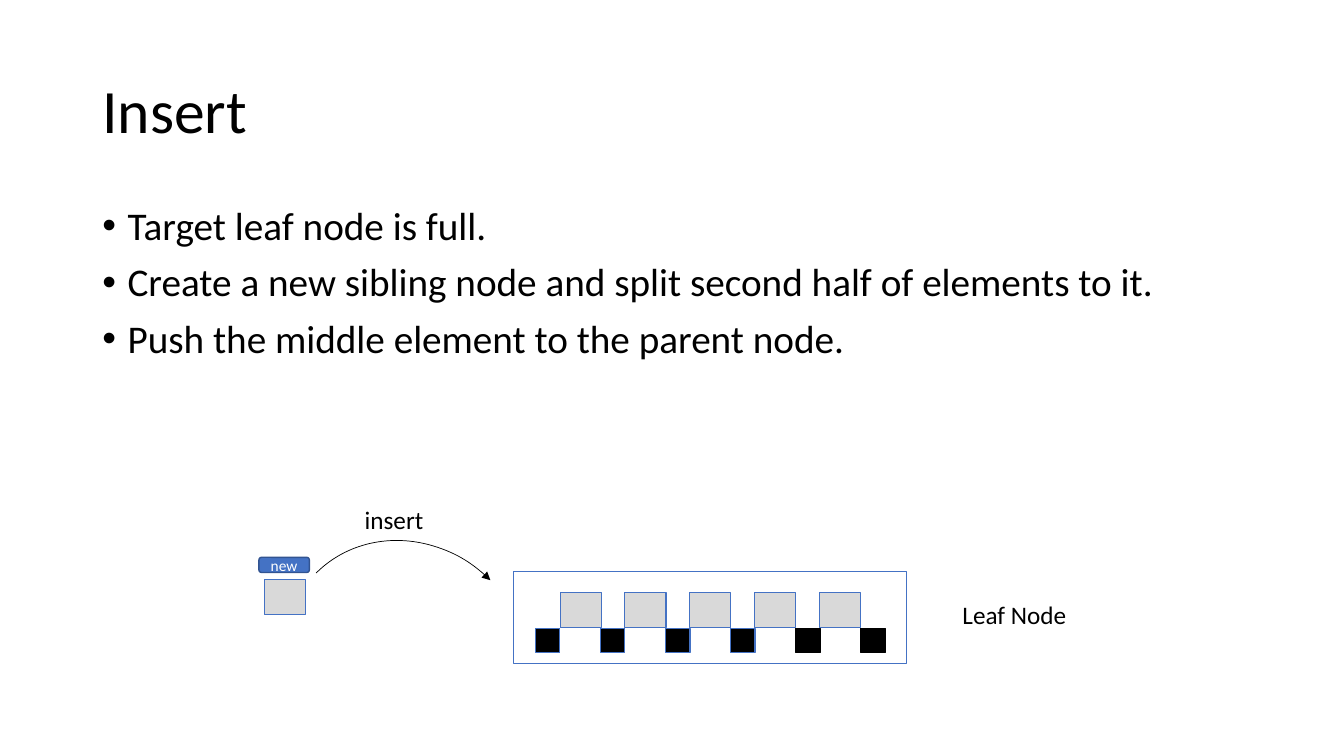
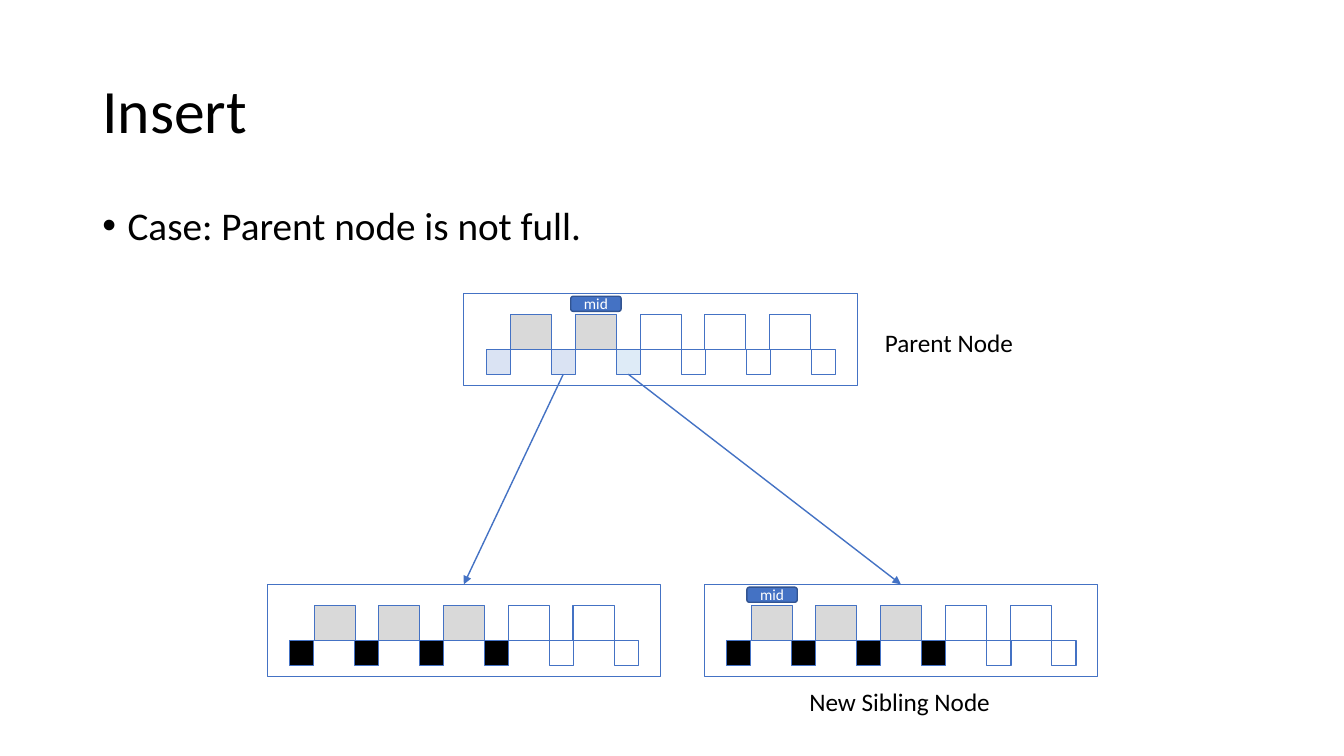
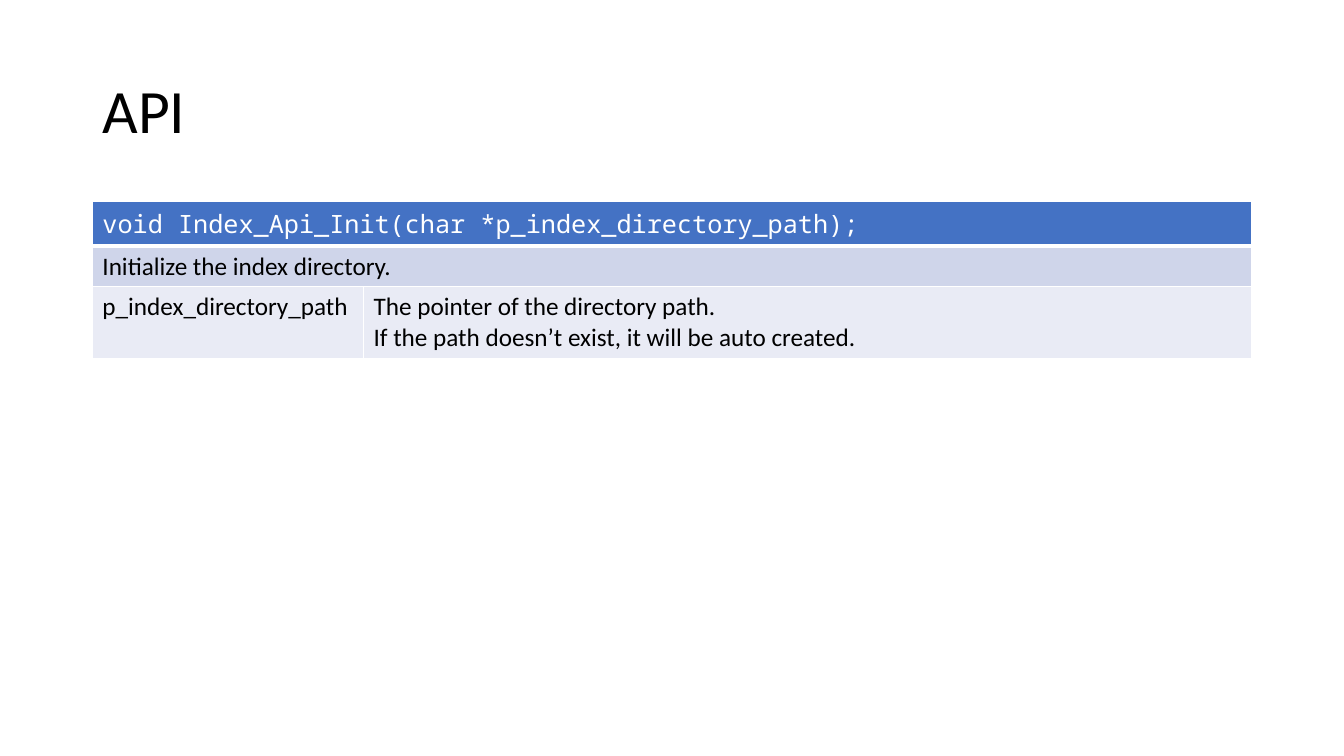
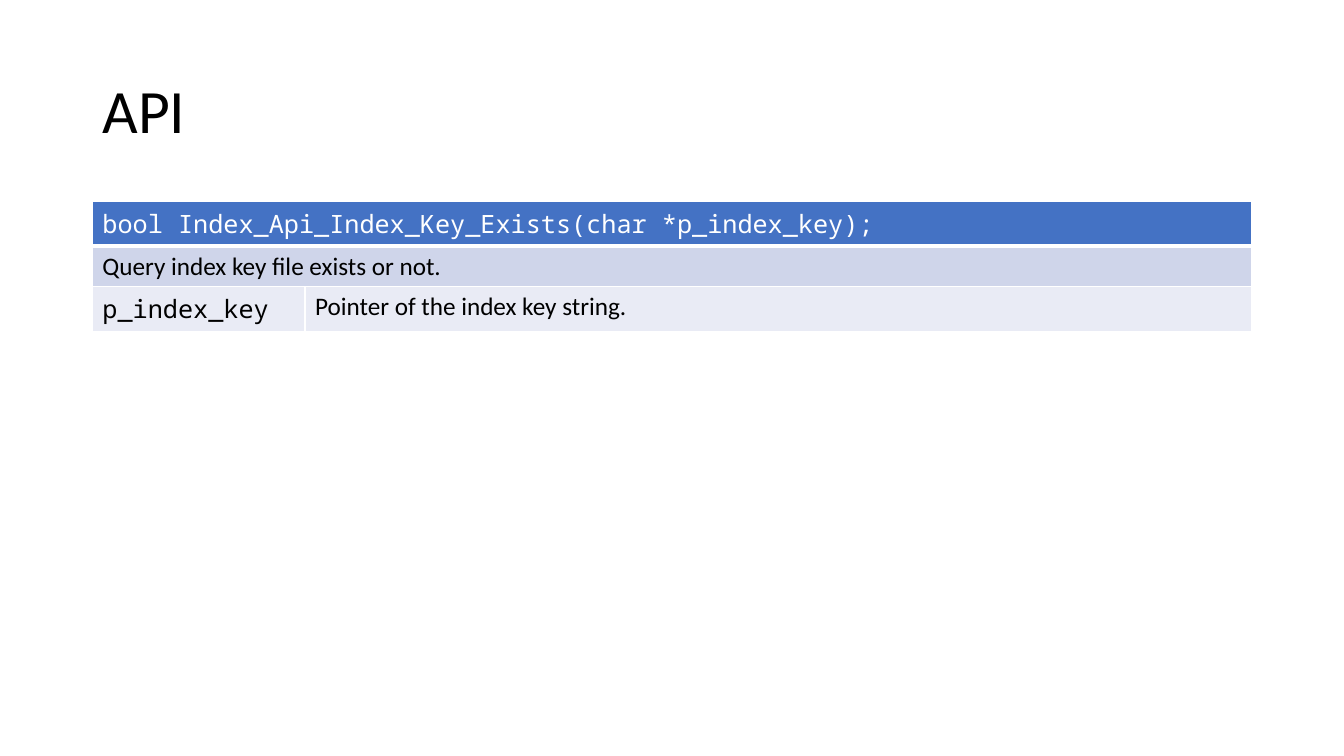
from lxml import etree
from pptx import Presentation
from pptx.dml.color import RGBColor
from pptx.enum.shapes import MSO_CONNECTOR, MSO_SHAPE
from pptx.enum.text import MSO_ANCHOR, MSO_AUTO_SIZE, PP_ALIGN
from pptx.oxml.ns import qn
from pptx.util import Pt

RECTANGLE, ROUNDED, ARC = MSO_SHAPE.RECTANGLE, MSO_SHAPE.ROUNDED_RECTANGLE, MSO_SHAPE.ARC
STRAIGHT = MSO_CONNECTOR.STRAIGHT
LEFT, CENTER = PP_ALIGN.LEFT, PP_ALIGN.CENTER
TOP, MIDDLE = MSO_ANCHOR.TOP, MSO_ANCHOR.MIDDLE
FIT_SHAPE = MSO_AUTO_SIZE.SHAPE_TO_FIT_TEXT
SIDE_TOP, SIDE_BOTTOM = 0, 2

COLORS = {
    "black": "000000",
    "white": "FFFFFF",
    "gray": "D9D9D9",
    "blue": "4472C4",
    "dark_blue": "325491",
    "pale_blue": "DAE3F3",
    "sky": "DEEBF7",
    "band_dark": "CFD5EA",
    "band_light": "E9EBF5",
}
SANS, MONO = "Calibri", "Noto Sans Mono"

TITLE_BOX = (66, 28.8, 828, 104.4)
BODY_BOX = (66, 144, 828, 342.7)
CONTENT_LAYOUT, TITLE_LAYOUT = 1, 5

NODE_WIDTH, NODE_HEIGHT = 281, 65.5
KEY_WIDTH, KEY_HEIGHT = 29.4, 25.4
KEY_LEFT, KEY_TOP, KEY_STEP = 33.5, 14.9, 46.25
POINTER_SIZE = 17.4
POINTER_LEFT, POINTER_TOP, POINTER_STEP = 16, 40.3, 46.45
TAG_WIDTH, TAG_HEIGHT = 36, 10.8
ROW_HEIGHT = 29.2


def color(name):
    return RGBColor.from_string(COLORS[name])


def points(box):
    return [Pt(length) for length in box]


def write(frame, text, size=18, font=SANS, ink="black", align=LEFT,
          spacing=None, before=None, bullet_indent=None):
    """Fill a text frame with one paragraph per line of text."""
    for index, line in enumerate(text.split("\n")):
        para = frame.add_paragraph() if index else frame.paragraphs[0]
        para.alignment = align
        if spacing:
            para.line_spacing = spacing
        if before is not None:
            para.space_before = Pt(before)
        if bullet_indent:
            properties = para._p.get_or_add_pPr()
            properties.set("marL", str(Pt(bullet_indent)))
            properties.set("indent", str(-Pt(bullet_indent)))
        span = para.add_run()
        span.text = line
        span.font.size = Pt(size)
        span.font.name = font
        span.font.bold = False
        span.font.color.rgb = color(ink)


def place(placeholder, box, anchor):
    placeholder.left, placeholder.top, placeholder.width, placeholder.height = points(box)
    placeholder.text_frame.vertical_anchor = anchor


def add_page(deck, title, bullets=None):
    layout = CONTENT_LAYOUT if bullets else TITLE_LAYOUT
    page = deck.slides.add_slide(deck.slide_layouts[layout])
    place(page.shapes.title, TITLE_BOX, MIDDLE)
    write(page.shapes.title.text_frame, title, size=44, spacing=0.9)
    if bullets:
        body = page.placeholders[1]
        place(body, BODY_BOX, TOP)
        write(body.text_frame, bullets, size=28, spacing=0.9, before=10, bullet_indent=18)
    return page


def add_shape(shapes, kind, box, fill=None, line="blue", weight=0.75):
    shape = shapes.add_shape(kind, *points(box))
    shape.shadow.inherit = False
    if fill:
        shape.fill.solid()
        shape.fill.fore_color.rgb = color(fill)
    else:
        shape.fill.background()
    shape.line.color.rgb = color(line)
    shape.line.width = Pt(weight)
    return shape


def add_arrowhead(shape):
    etree.SubElement(shape.line._get_or_add_ln(), qn("a:tailEnd"), type="triangle")


def add_arrow(shapes, pointer, node):
    """Link the bottom of a pointer to the top of a node."""
    arrow = shapes.add_connector(STRAIGHT, 0, 0, 0, 0)
    arrow.begin_connect(pointer, SIDE_BOTTOM)
    arrow.end_connect(node, SIDE_TOP)
    arrow.line.color.rgb = color("blue")
    arrow.line.width = Pt(1)
    add_arrowhead(arrow)
    etree.SubElement(arrow._element.spPr, qn("a:effectLst"))


def add_label(shapes, text, box):
    frame = shapes.add_textbox(*points(box)).text_frame
    frame.word_wrap = False
    frame.auto_size = FIT_SHAPE
    write(frame, text)


def add_tag(shapes, text, left, top):
    tag = add_shape(shapes, ROUNDED, (left, top, TAG_WIDTH, TAG_HEIGHT),
                    fill="blue", line="dark_blue", weight=1)
    frame = tag.text_frame
    frame.word_wrap = False
    frame.margin_left = frame.margin_right = frame.margin_top = frame.margin_bottom = 0
    frame.vertical_anchor = MIDDLE
    write(frame, text, size=11, ink="white", align=CENTER)


def add_key(shapes, left, top, fill="gray"):
    add_shape(shapes, RECTANGLE, (left, top, KEY_WIDTH, KEY_HEIGHT), fill)


def add_node(shapes, left, top, keys, pointers, outlines=("blue",) * 6):
    """Draw a tree node; return its frame and its pointer cells."""
    frame = add_shape(shapes, RECTANGLE, (left, top, NODE_WIDTH, NODE_HEIGHT))
    for index, fill in enumerate(keys):
        add_key(shapes, left + KEY_LEFT + index * KEY_STEP, top + KEY_TOP, fill)
    cells = [
        add_shape(shapes, RECTANGLE,
                  (left + POINTER_LEFT + index * POINTER_STEP, top + POINTER_TOP,
                   POINTER_SIZE, POINTER_SIZE), fill, outline)
        for index, (fill, outline) in enumerate(zip(pointers, outlines))
    ]
    return frame, cells


def add_full_leaf_page(deck):
    page = add_page(deck, "Insert",
                    "Target leaf node is full.\n"
                    "Create a new sibling node and split second half of elements to it.\n"
                    "Push the middle element to the parent node.")
    shapes = page.shapes
    left, top = 366.6, 408.3
    add_node(shapes.add_group_shape().shapes, left, top, ["gray"] * 5, ["black"] * 6,
             ["blue"] * 4 + ["black"] * 2)
    add_key(shapes, left - 178, top + 5.6)
    add_label(shapes, "Leaf Node", (left + 313.8, top + 16.5, 90, 29))
    arc = add_shape(shapes, ARC, (left - 160, top - 26, 168.5, 183.6),
                    line="black", weight=0.5)
    arc.rotation = 314.9
    add_arrowhead(arc)
    add_label(shapes, "insert", (left - 113.2, top - 51.9, 57, 29))
    add_tag(shapes, "new", left - 181.6, top - 10.2)


def add_split_page(deck):
    page = add_page(deck, "Insert", "Case: Parent node is not full.")
    shapes = page.shapes
    leaf_top, sibling_left = 417.4, 503
    parent_left, parent_top = 331.2, 209.6
    leaf_keys = ["gray"] * 3 + ["white"] * 2
    leaf_pointers = ["black"] * 4 + ["white"] * 2
    leaves = [add_node(shapes, left, leaf_top, leaf_keys, leaf_pointers)[0]
              for left in (190.8, sibling_left)]
    _, cells = add_node(shapes, parent_left, parent_top,
                        ["gray"] * 2 + ["white"] * 3,
                        ["pale_blue"] * 2 + ["sky"] + ["white"] * 3)
    for cell, leaf in zip(cells[1:], leaves):
        add_arrow(shapes, cell, leaf)
    add_tag(shapes, "mid", parent_left + 76.5, parent_top + 2)
    add_tag(shapes, "mid", sibling_left + 30.5, leaf_top + 2)
    add_label(shapes, "Parent Node", (parent_left + 293.8, parent_top + 20.8, 111, 29))
    add_label(shapes, "New Sibling Node", (sibling_left + 68, leaf_top + 69.3, 145, 29))


def format_cell(cell, fill, top=1, bottom=1):
    properties = cell._tc.get_or_add_tcPr()
    for side, width in (("L", 1), ("R", 1), ("T", top), ("B", bottom)):
        border = etree.SubElement(properties, qn("a:ln" + side), w=str(Pt(width)))
        paint = etree.SubElement(border, qn("a:solidFill"))
        etree.SubElement(paint, qn("a:srgbClr"), val=COLORS["white"])
    cell.fill.solid()
    cell.fill.fore_color.rgb = color(fill)


def add_api_page(deck, signature, summary, parameter, meaning, name_width, name_font=SANS):
    page = add_page(deck, "API")
    left, top, width, _ = BODY_BOX
    table = page.shapes.add_table(3, 2, *points((left, top, width, 3 * ROW_HEIGHT))).table
    table.first_row = table.horz_banding = False
    table.columns[0].width = Pt(name_width)
    table.columns[1].width = Pt(width - name_width)
    row_formats = [
        {"fill": "blue", "bottom": 3},
        {"fill": "band_dark", "top": 3},
        {"fill": "band_light"},
    ]
    for row, row_format in zip(table.rows, row_formats):
        row.height = Pt(ROW_HEIGHT)
        for cell in row.cells:
            format_cell(cell, **row_format)
    for row in (0, 1):
        table.cell(row, 0).merge(table.cell(row, 1))
    write(table.cell(0, 0).text_frame, signature, font=MONO, ink="white")
    write(table.cell(1, 0).text_frame, summary)
    write(table.cell(2, 0).text_frame, parameter, font=name_font)
    write(table.cell(2, 1).text_frame, meaning)


def main():
    deck = Presentation()
    deck.slide_width, deck.slide_height = Pt(960), Pt(540)
    add_full_leaf_page(deck)
    add_split_page(deck)
    add_api_page(deck, "void Index_Api_Init(char *p_index_directory_path);",
                 "Initialize the index directory.", "p_index_directory_path",
                 "The pointer of the directory path.\n"
                 "If the path doesn’t exist, it will be auto created.", 193.7)
    add_api_page(deck, "bool Index_Api_Index_Key_Exists(char *p_index_key);",
                 "Query index key file exists or not.", "p_index_key",
                 "Pointer of the index key string.", 151.9, name_font=MONO)
    deck.save("out.pptx")


if __name__ == "__main__":
    main()
